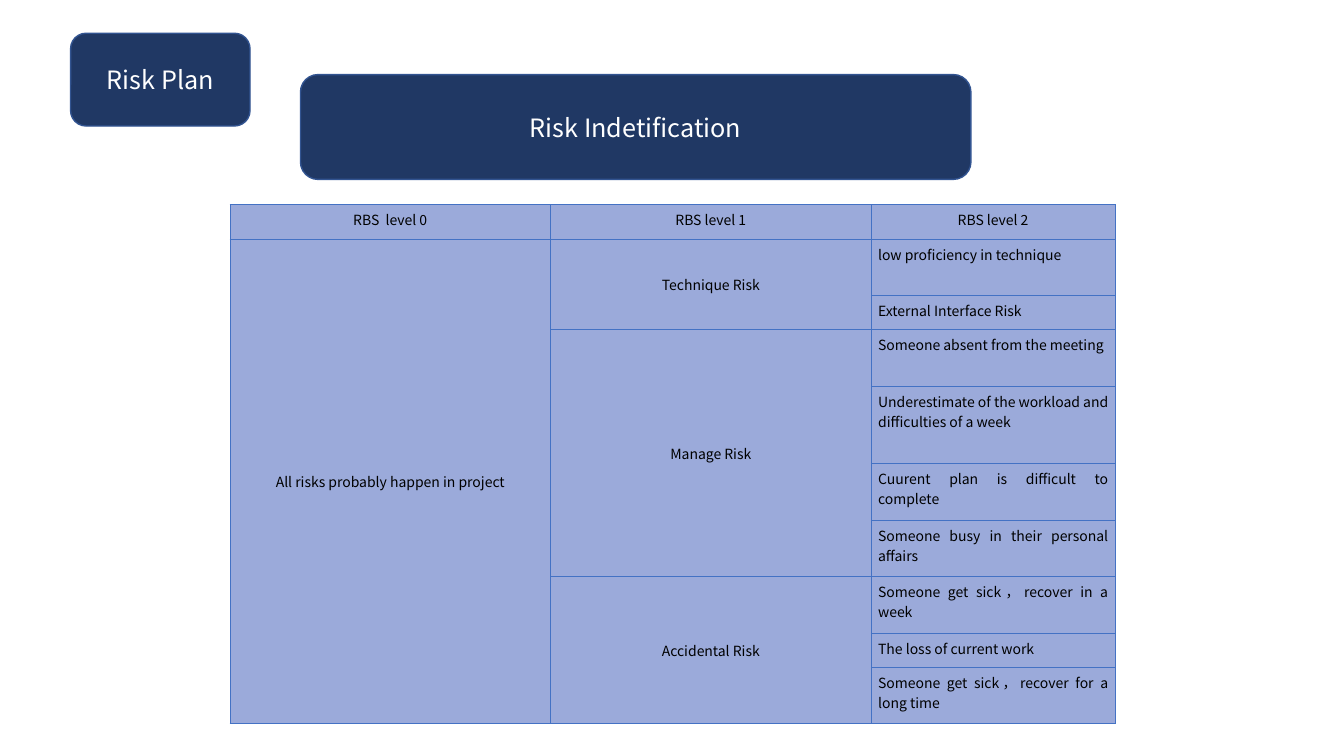
from lxml.etree import SubElement
from pptx import Presentation
from pptx.dml.color import RGBColor as RGB
from pptx.enum.shapes import MSO_SHAPE as SHAPE
from pptx.enum.text import MSO_ANCHOR as ANCHOR, PP_ALIGN as ALIGN
from pptx.oxml import parse_xml
from pptx.oxml.ns import nsdecls, qn
from pptx.util import Inches, Pt

FONT = "Noto Sans CJK SC"
COLORS = {"navy": "203864", "outline": "325491", "cell": "9BAADA",
          "border": "4472C4", "white": "FFFFFF", "black": "000000"}

HEADERS = ["RBS  level 0", "RBS level 1", "RBS level 2"]
ROOT = "All risks probably happen in project"
# Each level 1 risk with its level 2 risks and their row heights
RISKS = {
    "Technique Risk": [("low proficiency in technique", 0.56),
                       ("External Interface Risk", 0.34)],
    "Manage Risk": [("Someone absent from the meeting", 0.56),
                    ("Underestimate of the workload and difficulties of a week", 0.77),
                    ("Cuurent plan is difficult to complete", 0.56),
                    ("Someone busy in their personal affairs", 0.56)],
    "Accidental Risk": [("Someone get sick，recover in a week", 0.56),
                        ("The loss of current work", 0.34),
                        ("Someone get sick，recover for a long time", 0.56)],
}
COL_WIDTHS = [3.18, 3.18, 2.42]
HEADER_HEIGHT = 0.34
CELL_FORMAT = {"margin_left": Inches(0.07), "margin_right": Inches(0.07),
               "margin_top": Inches(0.05), "margin_bottom": Inches(0.05)}


def color(name):
    return RGB.from_string(COLORS[name])


def write(tf, text, size, font_color, align):
    p = tf.paragraphs[0]
    p.alignment = align
    r = p.add_run()
    r.text = text
    for key, value in {"name": FONT, "size": Pt(size)}.items():
        setattr(r.font, key, value)
    r.font.color.rgb = color(font_color)
    SubElement(r.font._element, qn("a:ea"), typeface=FONT)


def add_banner(s, text, x, y, w, h):
    """Rounded title box."""
    sp = s.shapes.add_shape(SHAPE.ROUNDED_RECTANGLE, Inches(x), Inches(y), Inches(w), Inches(h))
    sp.shadow.inherit = False
    sp.fill.solid()
    sp.fill.fore_color.rgb = color("navy")
    sp.line.color.rgb = color("outline")
    sp.line.width = Pt(1)
    tf = sp.text_frame
    tf.word_wrap = True
    tf.vertical_anchor = ANCHOR.MIDDLE
    write(tf, text, 18, "white", ALIGN.CENTER)


def style_cell(cell):
    for key, value in CELL_FORMAT.items():
        setattr(cell, key, value)
    cell.fill.solid()
    cell.fill.fore_color.rgb = color("cell")
    tc_pr = cell._tc.get_or_add_tcPr()
    for i, side in enumerate("LRTB"):
        tc_pr.insert(i, parse_xml(
            f'<a:ln{side} {nsdecls("a")} w="{Pt(0.5)}"><a:solidFill>'
            f'<a:srgbClr val="{COLORS["border"]}"/></a:solidFill></a:ln{side}>'))


def write_cell(cell, text, align=ALIGN.CENTER, anchor=ANCHOR.TOP):
    write(cell.text_frame, text, 10, "black", align)
    cell.vertical_anchor = anchor


def add_risk_table(s, x, y):
    """Risk breakdown: one row per level 2 risk, merged parents at the left."""
    heights = [HEADER_HEIGHT] + [h for leaves in RISKS.values() for _, h in leaves]
    frame = s.shapes.add_table(len(heights), len(COL_WIDTHS), Inches(x), Inches(y),
                               Inches(sum(COL_WIDTHS)), Inches(sum(heights)))
    table = frame.table
    for col, w in zip(table.columns, COL_WIDTHS):
        col.width = Inches(w)
    for row, h in zip(table.rows, heights):
        row.height = Inches(h)
    for cell in table.iter_cells():
        style_cell(cell)

    # Header row
    for c, text in enumerate(HEADERS):
        write_cell(table.cell(0, c), text)

    # Level 0
    root = table.cell(1, 0)
    root.merge(table.cell(len(heights) - 1, 0))
    write_cell(root, ROOT, anchor=ANCHOR.MIDDLE)

    # Levels 1 and 2
    top = 1
    for risk, leaves in RISKS.items():
        parent = table.cell(top, 1)
        parent.merge(table.cell(top + len(leaves) - 1, 1))
        write_cell(parent, risk, anchor=ANCHOR.MIDDLE)
        for i, (leaf, _) in enumerate(leaves):
            write_cell(table.cell(top + i, 2), leaf, ALIGN.JUSTIFY)
        top += len(leaves)


def main():
    prs = Presentation()
    prs.slide_width, prs.slide_height = Inches(13.33), Inches(7.5)
    s = prs.slides.add_slide(prs.slide_layouts[6])
    add_banner(s, "Risk Plan", 0.7, 0.33, 1.78, 0.92)
    add_risk_table(s, 2.28, 2.03)
    add_banner(s, "Risk Indetification", 2.98, 0.74, 6.65, 1.04)
    prs.save("out.pptx")


if __name__ == "__main__":
    main()
